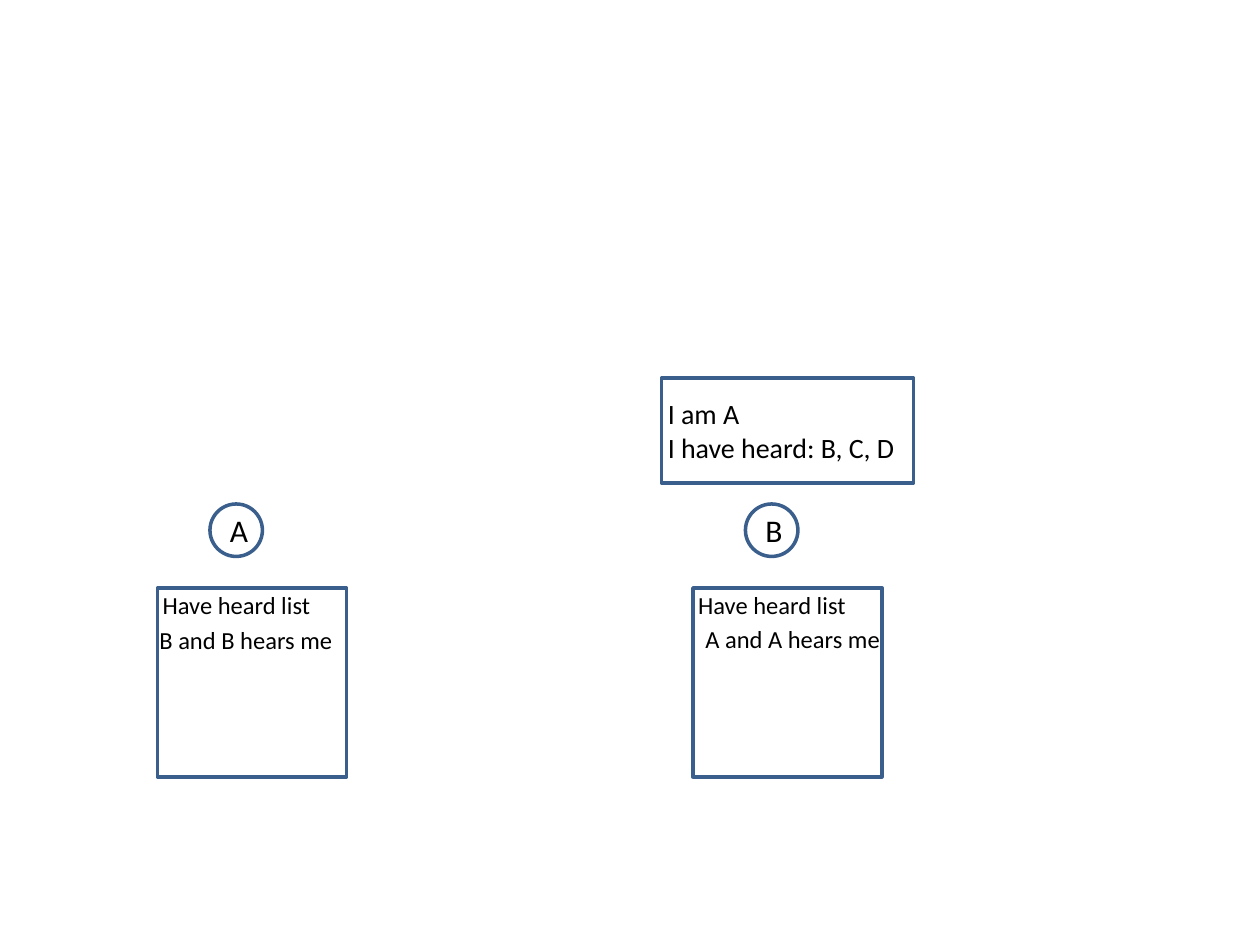
import pptx
import pptx.util
import pptx.dml.color
import pptx.enum.shapes
import pptx.enum.text

HUES = {"line": "3A5F8C", "ink": "000000"}
KINDS = pptx.enum.shapes.MSO_SHAPE
ALIGN = pptx.enum.text.PP_ALIGN


class Board:
    cols, rows = 120, 90
    font = "Calibri"

    def __init__(self, deck):
        self.wide = deck.slide_width / self.cols
        self.high = deck.slide_height / self.rows
        self.slide = deck.slides.add_slide(deck.slide_layouts[6])

    def place(self, col, row, width, height):
        return (round(col * self.wide), round(row * self.high),
                round(width * self.wide), round(height * self.high))

    def hue(self, name):
        return pptx.dml.color.RGBColor.from_string(HUES[name])

    def letter(self, frame, text, size, align):
        frame.text = text
        for para in frame.paragraphs:
            para.alignment = align
            for run in para.runs:
                run.font.name = self.font
                run.font.size = pptx.util.Pt(size)
                run.font.color.rgb = self.hue("ink")

    def shape(self, kind, *spot):
        form = self.slide.shapes.add_shape(kind, *self.place(*spot))
        form.shadow.inherit = False
        form.fill.background()
        form.line.color.rgb = self.hue("line")
        form.line.width = pptx.util.Pt(2)
        return form

    def node(self, name, col, row):
        form = self.shape(KINDS.OVAL, col, row, 5, 5)
        self.letter(form.text_frame, name, 18, ALIGN.CENTER)

    def label(self, text, *spot):
        frame = self.slide.shapes.add_textbox(*self.place(*spot)).text_frame
        frame.word_wrap = False
        frame.auto_size = pptx.enum.text.MSO_AUTO_SIZE.SHAPE_TO_FIT_TEXT
        self.letter(frame, text, 14, ALIGN.LEFT)

    def packet(self, text, *spot):
        frame = self.shape(KINDS.RECTANGLE, *spot).text_frame
        frame.word_wrap = False
        frame.vertical_anchor = pptx.enum.text.MSO_ANCHOR.MIDDLE
        frame.margin_left = pptx.util.Inches(0.05)
        frame.margin_right = frame.margin_top = frame.margin_bottom = 0
        self.letter(frame, text, 16, ALIGN.LEFT)

    def station(self, name, col, entry, shift, row, width):
        self.node(name, col + 5, 48)
        self.shape(KINDS.RECTANGLE, col, 56, 18, 18)
        self.label("Have heard list", col - 0.7, 55.6, 16.7, 4.1)
        self.label(entry, col + shift, row, width, 4.1)


def main():
    deck = pptx.Presentation()
    deck.slide_width = pptx.util.Inches(10)
    deck.slide_height = pptx.util.Inches(7.5)
    board = Board(deck)
    board.station("A", 15, "B and B hears me", -1, 58.9, 19.1)
    board.station("B", 66, "A and A hears me", 0, 58.8, 19.2)
    board.packet("I am A\nI have heard: B, C, D", 63, 36, 24, 10)
    deck.save("out.pptx")


if __name__ == "__main__":
    main()
